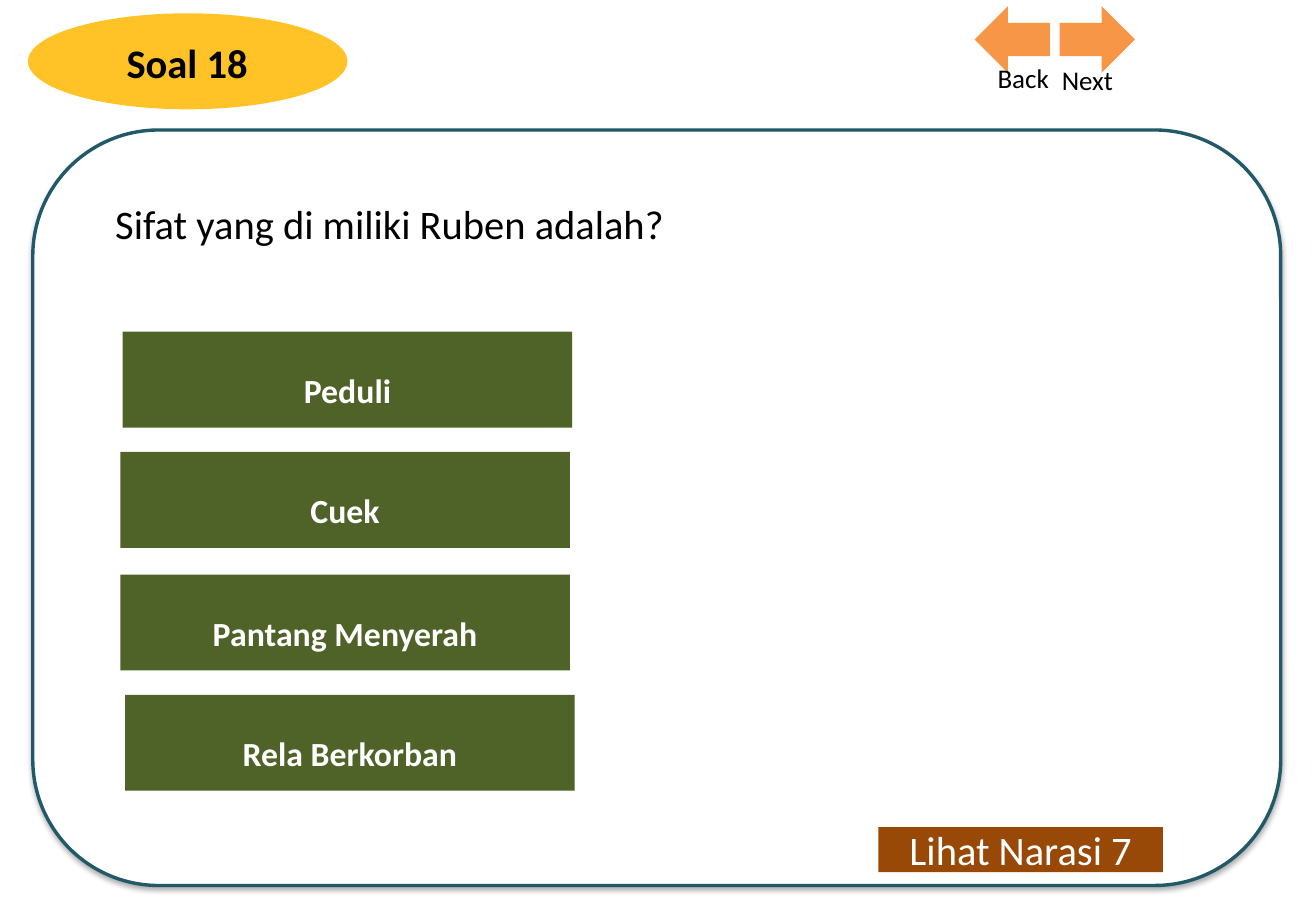
import pptx
import pptx.util
import pptx.dml.color
import pptx.enum.shapes
import pptx.enum.text
import pptx.oxml

Inches = pptx.util.Inches
RGBColor = pptx.dml.color.RGBColor
SHAPE = pptx.enum.shapes.MSO_SHAPE
ALIGN = pptx.enum.text.PP_ALIGN
ANCHOR = pptx.enum.text.MSO_ANCHOR

FONT = "Calibri"
BLACK = RGBColor(0x00, 0x00, 0x00)
WHITE = RGBColor(0xFF, 0xFF, 0xFF)
GOLD = RGBColor(0xFF, 0xC2, 0x27)
TEAL = RGBColor(0x21, 0x59, 0x68)
GREEN = RGBColor(0x4F, 0x62, 0x28)
BROWN = RGBColor(0x98, 0x48, 0x07)
ORANGE = RGBColor(0xF7, 0x96, 0x46)

SHADOW = (
    '<a:effectLst xmlns:a="http://schemas.openxmlformats.org/drawingml/2006/main">'
    '<a:outerShdw blurRad="44450" dist="27940" dir="5400000" rotWithShape="0">'
    '<a:srgbClr val="000000"><a:alpha val="32000"/></a:srgbClr>'
    '</a:outerShdw></a:effectLst>'
)

ANSWERS = [
    ("Peduli", 1.01, 2.73),
    ("Cuek", 0.99, 3.72),
    ("Pantang Menyerah", 0.99, 4.73),
    ("Rela Berkorban", 1.03, 5.72),
]


def write(sp, text, size, color=BLACK, bold=False, align=ALIGN.LEFT,
          spacing=1.0, anchor=ANCHOR.TOP):
    tf = sp.text_frame
    tf.word_wrap = True
    tf.auto_size = pptx.enum.text.MSO_AUTO_SIZE.NONE
    tf.vertical_anchor = anchor
    p = tf.paragraphs[0]
    p.alignment = align
    p.line_spacing = spacing
    r = p.add_run()
    r.text = text
    r.font.name = FONT
    r.font.size = pptx.util.Pt(size)
    r.font.bold = bold
    r.font.color.rgb = color


def add_filled(s, kind, x, y, w, h, fill):
    sp = s.shapes.add_shape(kind, Inches(x), Inches(y), Inches(w), Inches(h))
    sp.shadow.inherit = False
    sp.fill.solid()
    sp.fill.fore_color.rgb = fill
    sp.line.fill.background()
    return sp


def add_label(s, x, y, w, h, text, size, **style):
    sp = s.shapes.add_textbox(Inches(x), Inches(y), Inches(w), Inches(h))
    write(sp, text, size, **style)


def add_button(s, x, y, w, h, fill, text, size, **style):
    sp = add_filled(s, SHAPE.RECTANGLE, x, y, w, h, fill)
    write(sp, text, size, WHITE, align=ALIGN.CENTER, anchor=ANCHOR.MIDDLE, **style)


def add_heading(s, text):
    add_filled(s, SHAPE.OVAL, 0.23, 0.11, 2.63, 0.79, GOLD)
    title = s.shapes.title
    title.left, title.top = Inches(0.18), Inches(0.26)
    title.width, title.height = Inches(2.72), Inches(0.5)
    write(title, text, 24, bold=True, align=ALIGN.CENTER)
    s.shapes._spTree.append(title._element)


def add_panel(s):
    panel = add_filled(s, SHAPE.ROUNDED_RECTANGLE, 0.27, 1.07, 10.27, 6.22, WHITE)
    panel.line.color.rgb = TEAL
    panel.line.width = pptx.util.Pt(2)
    props = panel._element.spPr
    props.remove(props.find(pptx.oxml.ns.qn("a:effectLst")))
    props.append(pptx.oxml.parse_xml(SHADOW))


def add_navigation(s):
    add_filled(s, SHAPE.LEFT_ARROW, 8.02, 0.05, 0.62, 0.55, ORANGE)
    add_filled(s, SHAPE.RIGHT_ARROW, 8.72, 0.05, 0.62, 0.55, ORANGE)
    add_label(s, 8.64, 0.47, 1.4, 0.37, "Next", 16)
    add_label(s, 7.33, 0.46, 1.4, 0.37, "Back", 16, align=ALIGN.RIGHT)


def main():
    prs = pptx.Presentation()
    prs.slide_width, prs.slide_height = Inches(10.83), Inches(7.5)
    s = prs.slides.add_slide(prs.slide_layouts[5])
    add_heading(s, "Soal 18")
    add_panel(s)
    add_label(s, 0.85, 1.39, 9.45, 0.71, "Sifat yang di miliki Ruben adalah?", 24,
              align=ALIGN.JUSTIFY, spacing=1.5)
    add_button(s, 7.23, 6.81, 2.34, 0.37, BROWN, "Lihat Narasi 7", 24)
    for text, x, y in ANSWERS:
        add_button(s, x, y, 3.7, 0.79, GREEN, text, 20, bold=True, spacing=1.5)
    add_navigation(s)
    prs.save("out.pptx")


if __name__ == "__main__":
    main()
